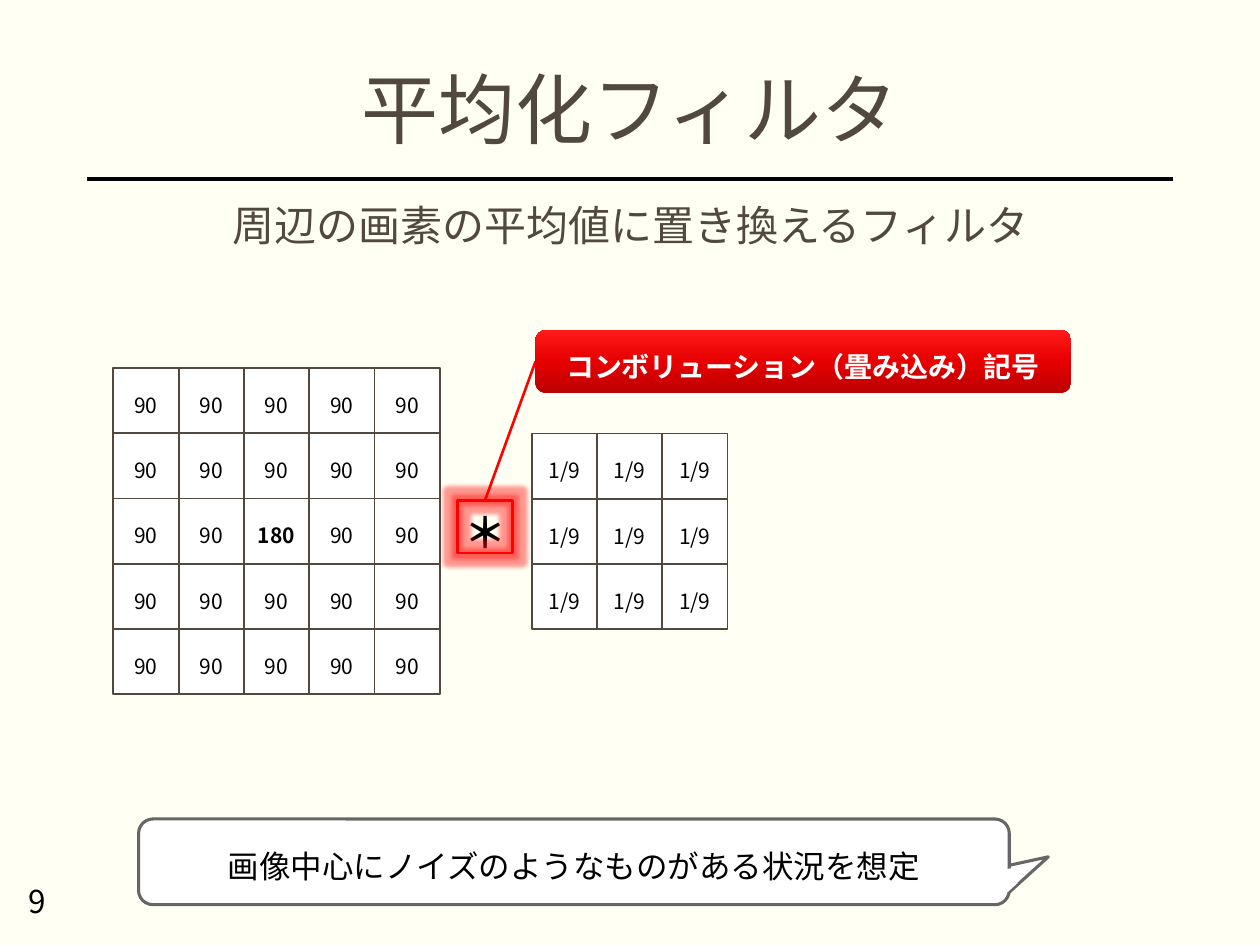
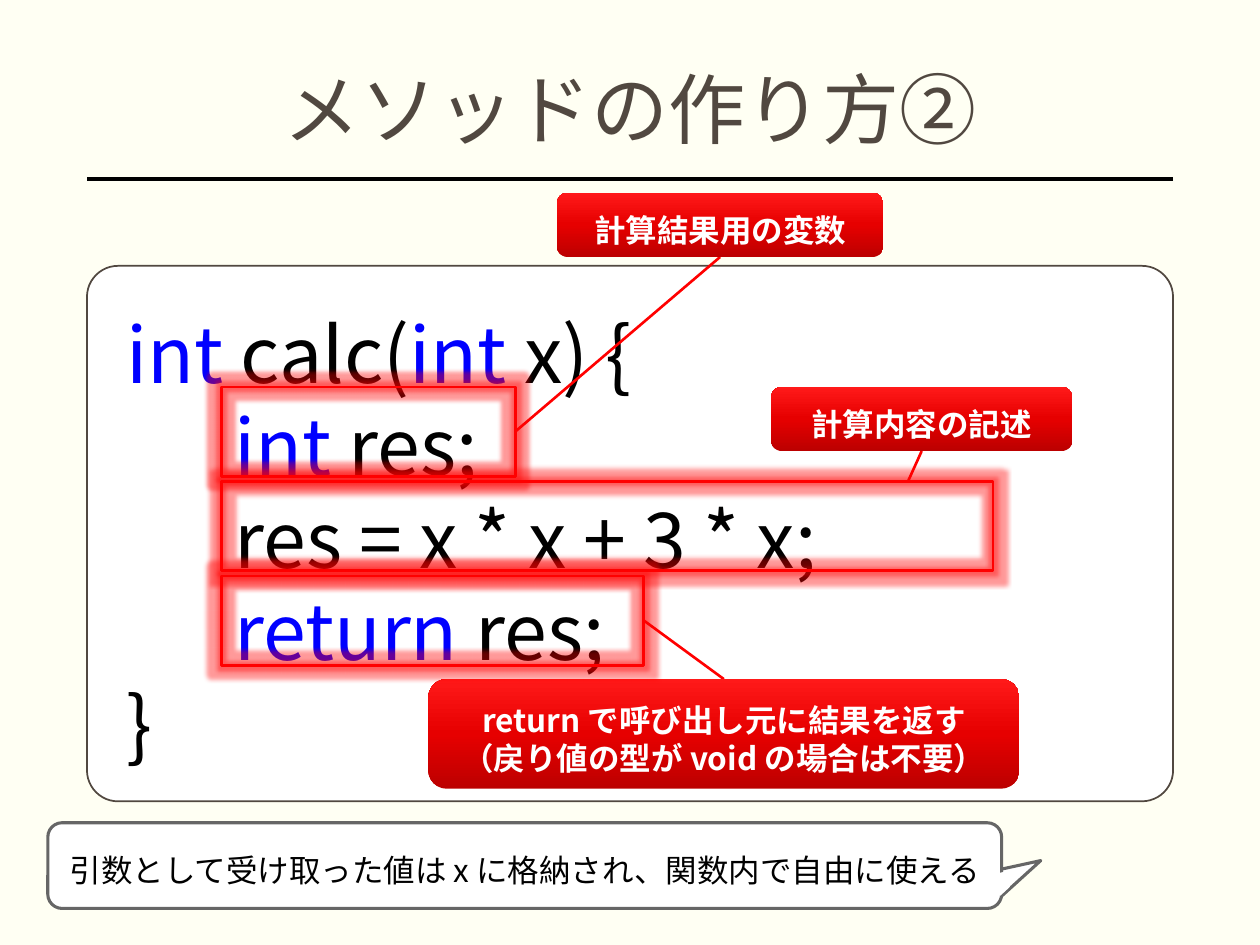
import copy
import pptx
import pptx.util
import pptx.dml.color
import pptx.enum.shapes
import pptx.enum.text
import pptx.oxml
import pptx.oxml.ns
import lxml.etree

WIDE, HIGH = 10, 7.5
EDGE = 0.69
FONT = "Noto Sans CJK JP"
PAPER, WHITE, BLACK = "FFFFF3", "FFFFFF", "000000"
INK, RED, BLUE, GREY = "514840", "FF0000", "0000FF", "666666"
SHINE = [(0, "BC0000"), (0.5, "E60000"), (1, "FF1919")]
LEAD = 1.2  # line height per point of type, for text of several lines

KIND = pptx.enum.shapes.MSO_SHAPE
ALIGN = pptx.enum.text.PP_ALIGN
MID = pptx.enum.text.MSO_ANCHOR.MIDDLE
TOP = pptx.enum.text.MSO_ANCHOR.TOP
qn = pptx.oxml.ns.qn
inch = pptx.util.Inches

# Content. Places are left, top, width, height in inches.
CELL = 0.518
IMAGE = [["90"] * 5 for _ in range(5)]
IMAGE[2][2] = "180"
KERNEL = [["1/9"] * 3 for _ in range(3)]
GRIDS = [(IMAGE, 0.9, 2.92, 0.04), (KERNEL, 4.22, 3.44, 0.08)]

# Each hint: lines, size, label place, frame place,
# link start as shares of the frame, link end as shares of the label.
FILTER = {
    "title": "平均化フィルタ",
    "lead": "周辺の画素の平均値に置き換えるフィルタ",
    "note": ("画像中心にノイズのようなものがある状況を想定", (1.1, 6.5, 6.91, 0.68)),
    "hints": [
        (["コンボリューション（畳み込み）記号"], 16, (4.25, 2.62, 4.25, 0.5),
         (3.63, 3.97, 0.44, 0.42), (0.5, 0), (0, 0.5)),
    ],
}
METHOD = {
    "title": "メソッドの作り方②",
    "note": ("引数として受け取った値は x に格納され、関数内で自由に使える",
             (0.38, 6.53, 7.57, 0.68)),
    "hints": [
        (["計算結果用の変数"], 18, (4.42, 1.53, 2.59, 0.51),
         (1.76, 3.07, 2.33, 0.71), (1, 0.5), (0.5, 1)),
        (["計算内容の記述"], 18, (6.12, 3.07, 2.39, 0.51),
         (1.76, 3.82, 6.12, 0.71), (0.89, 0), (0.5, 1)),
        (["return で呼び出し元に結果を返す", "（戻り値の型が void の場合は不要）"], 18,
         (3.4, 5.39, 4.69, 0.87), (1.76, 4.57, 3.35, 0.71), (1, 0.5), (0.5, 0)),
    ],
}
# Each code line: indent in inches, then runs of text and colour.
CODE = [
    (0.14, [("int ", BLUE), ("calc(", BLACK), ("int", BLUE), (" x) {", BLACK)]),
    (1, [("int", BLUE), (" res;", BLACK)]),
    (1, [("res = x * x + 3 * x;", BLACK)]),
    (1, [("return", BLUE), (" res;", BLACK)]),
    (0.14, [("}", BLACK)]),
]
# Note tail, measured from the note's top right corner.
TAIL = [(-0.01, 0.37), (0.31, 0.3), (-0.01, 0.59)]
PATCHES = [((-0.07, 0.36, 0.09, 0.17), 78), ((-0.04, 0.46, 0.08, 0.11), 47.5)]


def rgb(code):
    return pptx.dml.color.RGBColor.from_string(code)


def style(shape, fill=None, line=None, width=1):
    shape.shadow.inherit = False
    if fill:
        shape.fill.solid()
        shape.fill.fore_color.rgb = rgb(fill)
    else:
        shape.fill.background()
    if line:
        shape.line.color.rgb = rgb(line)
        shape.line.width = pptx.util.Pt(width)
    else:
        shape.line.fill.background()
    return shape


def block(slide, kind, place, *look):
    shape = slide.shapes.add_shape(kind, *map(inch, place))
    return style(shape, *look)


def setup(shape, pad=(0.1, 0.05, 0.1, 0.05), anchor=MID, wrap=True):
    frame = shape.text_frame
    frame.word_wrap, frame.vertical_anchor = wrap, anchor
    (frame.margin_left, frame.margin_top,
     frame.margin_right, frame.margin_bottom) = map(inch, pad)
    return frame


def write(par, text, size, color=BLACK, bold=False):
    run = par.add_run()
    run.text = text
    font = run.font
    font.size, font.bold, font.name = pptx.util.Pt(size), bold, FONT
    font.color.rgb = rgb(color)
    east = lxml.etree.SubElement(run._r.get_or_add_rPr(), qn("a:ea"))
    east.set("typeface", FONT)


def fill_text(frame, lines, size, color=BLACK, bold=False, align=ALIGN.CENTER,
              space=None):
    for n, text in enumerate(lines):
        par = frame.add_paragraph() if n else frame.paragraphs[0]
        par.alignment = align
        if space:
            par.line_spacing = space
        elif len(lines) > 1:
            par.line_spacing = pptx.util.Pt(LEAD * size)
        write(par, text, size, color, bold)


def label(slide, place, text, size, color=BLACK, bold=False, align=ALIGN.LEFT,
          anchor=TOP, wrap=True, space=None):
    box = slide.shapes.add_textbox(*map(inch, place))
    fill_text(setup(box, anchor=anchor, wrap=wrap), [text], size, color, bold,
              align, space)


def link(slide, start, end, color, width):
    line = slide.shapes.add_connector(
        pptx.enum.shapes.MSO_CONNECTOR.STRAIGHT, *map(inch, (*start, *end)))
    line.line.color.rgb = rgb(color)
    line.line.width = pptx.util.Pt(width)
    lxml.etree.SubElement(line._element.spPr, qn("a:effectLst"))


def shine(shape):
    """Give the shape the red gradient, dark at the foot."""
    shape.fill.gradient()
    shape.fill.gradient_angle = 90
    stops = shape._element.spPr.find(".//" + qn("a:gsLst"))
    stops.append(copy.deepcopy(stops[0]))
    for stop, (pos, color) in zip(shape.fill.gradient_stops, SHINE):
        stop.position = pos
        stop.color.rgb = rgb(color)


def glow(shape):
    effects = shape._element.spPr.find(qn("a:effectLst"))
    halo = lxml.etree.SubElement(effects, qn("a:glow"), rad=str(pptx.util.Pt(5)))
    tint = lxml.etree.SubElement(halo, qn("a:srgbClr"), val=RED)
    lxml.etree.SubElement(tint, qn("a:alpha"), val="40000")


def spot(place, share):
    """Point at the given shares of a place's width and height."""
    return tuple(place[i] + place[i + 2] * share[i] for i in (0, 1))


def add_hint(slide, lines, size, place, frame, start, end):
    link(slide, spot(frame, start), spot(place, end), RED, 1.5)
    tag = block(slide, KIND.ROUNDED_RECTANGLE, place)
    shine(tag)
    fill_text(setup(tag, (0, 0.08, 0, 0)), lines, size, WHITE, True)
    glow(block(slide, KIND.RECTANGLE, frame, None, RED, 1.5))


def add_note(slide, text, place):
    right, top = place[0] + place[2], place[1]
    dots = [(inch(right + x), inch(top + y)) for x, y in TAIL]
    pen = slide.shapes.build_freeform(*dots[0])
    pen.add_line_segments(dots[1:], close=True)
    style(pen.convert_to_shape(), WHITE, GREY, 1.75)
    body = block(slide, KIND.ROUNDED_RECTANGLE, place, WHITE, GREY, 1.75)
    fill_text(setup(body, (0.1, 0.12, 0.1, 0.05), wrap=False), [text], 18)
    for (x, y, w, h), turn in PATCHES:
        patch = block(slide, KIND.RECTANGLE, (right + x, top + y, w, h), WHITE)
        patch.rotation = turn


def add_grid(slide, rows, left, top, side):
    for r, row in enumerate(rows):
        for c, text in enumerate(row):
            place = (left + c * CELL, top + r * CELL, CELL, CELL)
            cell = block(slide, KIND.RECTANGLE, place, WHITE, INK, 1)
            fill_text(setup(cell, (side, 0.12, side, 0.05)), [text], 12,
                      bold=text == "180")


def add_code(slide):
    card = block(slide, KIND.ROUNDED_RECTANGLE,
                 (EDGE, 2.11, WIDE - 2 * EDGE, 4.25), WHITE, INK, 1)
    card.adjustments[0] = 0.058
    frame = setup(card, (0.1, 0.06, 0.1, 0))
    for n, (indent, runs) in enumerate(CODE):
        par = frame.add_paragraph() if n else frame.paragraphs[0]
        par.alignment = ALIGN.LEFT
        par.line_spacing = pptx.util.Pt(LEAD * 44)
        par._p.get_or_add_pPr().set("marL", str(inch(indent)))
        for text, color in runs:
            write(par, text, 44, color)


def add_page(deck, page):
    slide = deck.slides.add_slide(deck.slide_layouts[6])
    slide.background.fill.solid()
    slide.background.fill.fore_color.rgb = rgb(PAPER)
    link(slide, (WIDE - EDGE, 1.42), (EDGE, 1.42), BLACK, 2)
    label(slide, (EDGE, 0.47, WIDE - 2 * EDGE, 0.86), page["title"], 44, INK,
          align=ALIGN.CENTER, anchor=MID, space=0.9)
    return slide


def finish(slide, page):
    for hint in page["hints"]:
        add_hint(slide, *hint)
    add_note(slide, *page["note"])


def main():
    deck = pptx.Presentation()
    deck.slide_width, deck.slide_height = inch(WIDE), inch(HIGH)

    slide = add_page(deck, FILTER)
    label(slide, (EDGE, 1.58, WIDE - 2 * EDGE, 0.75), FILTER["lead"], 24, INK,
          align=ALIGN.CENTER, space=0.9)
    for grid in GRIDS:
        add_grid(slide, *grid)
    label(slide, (3.59, 3.97, 0.54, 0.5), "＊", 24, bold=True, wrap=False)
    label(slide, (0.13, 6.95, 2.25, 0.4), "9", 18)
    finish(slide, FILTER)

    slide = add_page(deck, METHOD)
    add_code(slide)
    finish(slide, METHOD)

    deck.save("out.pptx")


if __name__ == "__main__":
    main()
